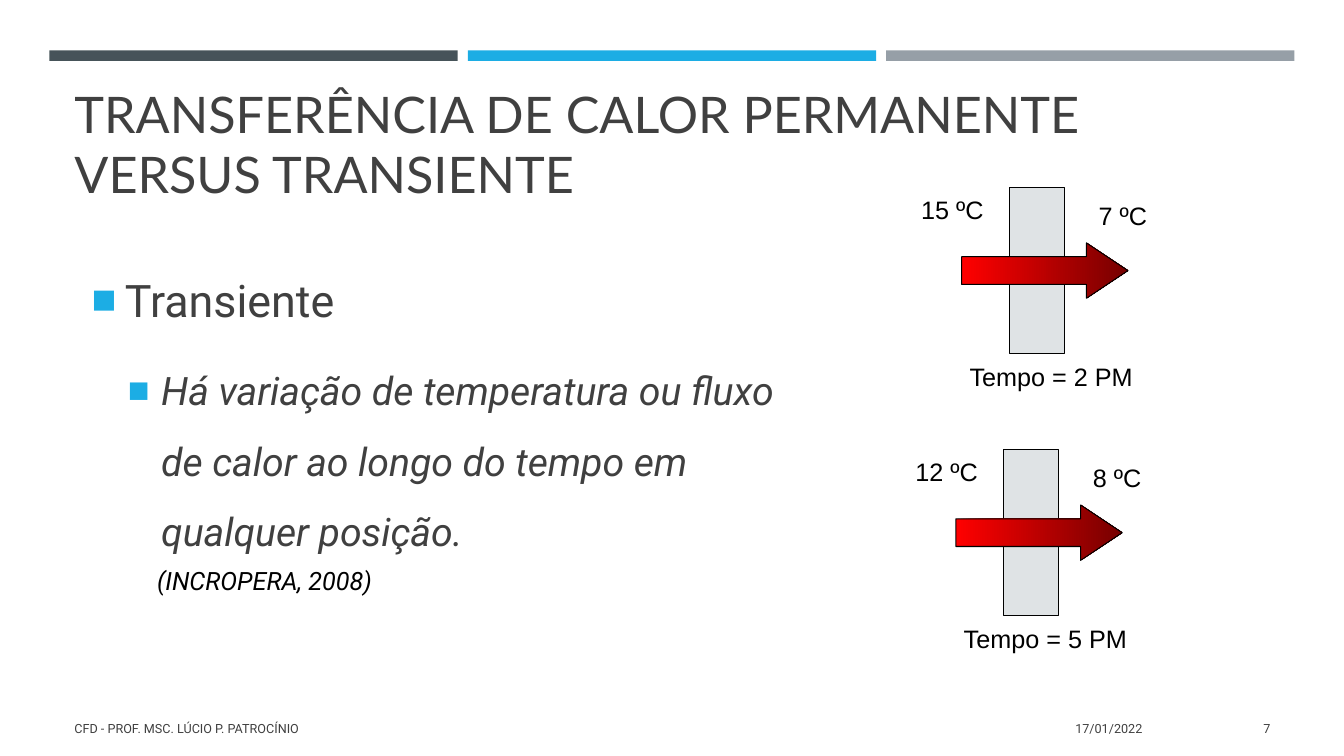
from dataclasses import dataclass
from typing import Any

from lxml.etree import SubElement
from pptx import Presentation
from pptx.dml.color import RGBColor
from pptx.enum.shapes import MSO_SHAPE
from pptx.enum.text import MSO_ANCHOR, PP_ALIGN
from pptx.oxml.ns import qn
from pptx.util import Inches, Pt


@dataclass(frozen=True)
class Theme:
    slate: str = "465359"
    blue: str = "1CADE4"
    grey: str = "969FA7"
    text: str = "404040"
    black: str = "000000"
    wall: str = "DFE3E5"
    hot: str = "FF0000"
    dark_red: str = "760000"
    heading: str = "Lato"
    body: str = "Roboto"
    label: str = "Arial"
    title_size: int = 36
    topic_size: int = 32
    detail_size: int = 28
    label_size: int = 18
    footer_size: int = 9


@dataclass(frozen=True)
class Box:
    """Left, top, width and height in percent of the slide."""
    x: float
    y: float
    w: float
    h: float

    def emu(self) -> tuple[int, int, int, int]:
        return (int(WIDTH * self.x / 100), int(HEIGHT * self.y / 100),
                int(WIDTH * self.w / 100), int(HEIGHT * self.h / 100))


@dataclass(frozen=True)
class Label:
    text: str
    box: Box
    font: str
    size: int
    color: str
    italic: bool = False
    wrap: bool = True
    anchor: MSO_ANCHOR = MSO_ANCHOR.TOP
    align: PP_ALIGN = PP_ALIGN.LEFT


@dataclass(frozen=True)
class Bullet:
    text: str
    level: int
    size: int
    indent: float
    before: int
    italic: bool


@dataclass(frozen=True)
class WallDiagram:
    x: float
    y: float
    inside: str
    outside: str
    time: str


T = Theme()
WIDTH, HEIGHT = Inches(13.33), Inches(7.5)
ROW = 5.33  # height of a one-line label
HANG = 0.33  # bullet indent in inches


def set_all(target: Any, values: dict[str, Any]) -> None:
    for name, value in values.items():
        setattr(target, name, value)


def set_font(font: Any, name: str, size: int, color: str, italic: bool) -> None:
    set_all(font, {"name": name, "size": Pt(size), "italic": italic})
    font.color.rgb = RGBColor.from_string(color)


def add_label(s: Any, label: Label) -> None:
    tf = s.shapes.add_textbox(*label.box.emu()).text_frame
    set_all(tf, {"word_wrap": label.wrap, "vertical_anchor": label.anchor})
    p = tf.paragraphs[0]
    p.alignment = label.align
    r = p.add_run()
    r.text = label.text
    set_font(r.font, label.font, label.size, label.color, label.italic)


def add_block(s: Any, kind: MSO_SHAPE, box: Box, fill: str, outlined: bool) -> Any:
    sp = s.shapes.add_shape(kind, *box.emu())
    sp.shadow.inherit = False
    sp.fill.solid()
    sp.fill.fore_color.rgb = RGBColor.from_string(fill)
    if outlined:
        sp.line.color.rgb = RGBColor.from_string(T.black)
        sp.line.width = Pt(0.75)
    else:
        sp.line.fill.background()
    return sp


def add_bullets(s: Any, box: Box, bullets: list[Bullet]) -> None:
    tf = s.shapes.add_textbox(*box.emu()).text_frame
    set_all(tf, {"word_wrap": True, "vertical_anchor": MSO_ANCHOR.MIDDLE,
                 "margin_bottom": Inches(1)})
    for i, bullet in enumerate(bullets):
        p = tf.paragraphs[0] if i == 0 else tf.add_paragraph()
        set_all(p, {"level": bullet.level, "line_spacing": 1.5,
                    "space_before": Pt(bullet.before), "space_after": Pt(6)})
        pPr = p._p.get_or_add_pPr()
        pPr.set("marL", str(Inches(bullet.indent)))
        pPr.set("indent", str(-Inches(HANG)))
        SubElement(SubElement(pPr, qn("a:buClr")), qn("a:srgbClr"), val=T.blue)
        SubElement(pPr, qn("a:buSzPct"), val="92000")
        SubElement(pPr, qn("a:buFont"), typeface=T.label)
        SubElement(pPr, qn("a:buChar"), char="■")
        r = p.add_run()
        r.text = bullet.text
        set_font(r.font, T.body, bullet.size, T.text, bullet.italic)


def add_diagram(s: Any, d: WallDiagram) -> None:
    add_block(s, MSO_SHAPE.RECTANGLE, Box(d.x, d.y, 4.13, 22), T.wall, True)
    # Heat flow arrow through the wall
    arrow = add_block(s, MSO_SHAPE.RIGHT_ARROW,
                      Box(d.x - 3.53, d.y + 7.33, 12.38, 7.33), T.hot, True)
    arrow.adjustments[0], arrow.adjustments[1] = 0.5, 0.75
    arrow.fill.gradient()
    arrow.fill.gradient_angle = 0
    for stop, position, color in zip(arrow.fill.gradient_stops, (0, 1), (T.hot, T.dark_red)):
        stop.position = position
        stop.color.rgb = RGBColor.from_string(color)
    # Temperatures on both sides and the time below
    for text, dx, dy, w in ((d.inside, -7.28, 0.27, 6.15),
                            (d.outside, 5.93, 1.07, 5.1),
                            (d.time, -3.68, 22.27, 13.88)):
        add_label(s, Label(text, Box(d.x + dx, d.y + dy, w, ROW), T.label,
                           T.label_size, T.black, wrap=False))


def main() -> None:
    prs = Presentation()
    prs.slide_width, prs.slide_height = WIDTH, HEIGHT
    s = prs.slides.add_slide(prs.slide_layouts[6])

    # Top bars
    for i, color in enumerate((T.slate, T.blue, T.grey)):
        add_block(s, MSO_SHAPE.RECTANGLE, Box(3.68 + 31.13 * i, 6.67, 30.38, 1.4), color, False)

    # Title and bullets
    add_label(s, Label("TRANSFERÊNCIA DE CALOR PERMANENTE VERSUS TRANSIENTE",
                       Box(4.8, 10.27, 90.45, 17.33), T.heading, T.title_size,
                       T.text, anchor=MSO_ANCHOR.BOTTOM))
    add_bullets(s, Box(6.08, 29.2, 55.88, 60.13), [
        Bullet("Transiente", 0, T.topic_size, 0.33, 0, False),
        Bullet("Há variação de temperatura ou fluxo de calor ao longo do tempo "
               "em qualquer posição.", 1, T.detail_size, 0.69, 6, True),
    ])

    # Wall at two moments
    for diagram in (WallDiagram(75.08, 24.8, "15 ºC", "7 ºC", "Tempo = 2 PM"),
                    WallDiagram(74.65, 59.47, "12 ºC", "8 ºC", "Tempo = 5 PM")):
        add_diagram(s, diagram)

    # Footer
    for text, x, w, align in (
            ("17/01/2022", 62.4, 23.33, PP_ALIGN.RIGHT),
            ("CFD - PROF. MSC. LÚCIO P. PATROCÍNIO", 4.8, 56.7, PP_ALIGN.LEFT),
            ("7", 86.63, 8.63, PP_ALIGN.RIGHT)):
        add_label(s, Label(text, Box(x, 93.73, w, ROW), T.body, T.footer_size,
                           T.text, anchor=MSO_ANCHOR.MIDDLE, align=align))

    # Citation
    add_label(s, Label("(INCROPERA, 2008)", Box(10.95, 74.13, 17.55, ROW), T.body,
                       T.label_size, T.black, italic=True))
    prs.save("out.pptx")


if __name__ == "__main__":
    main()
